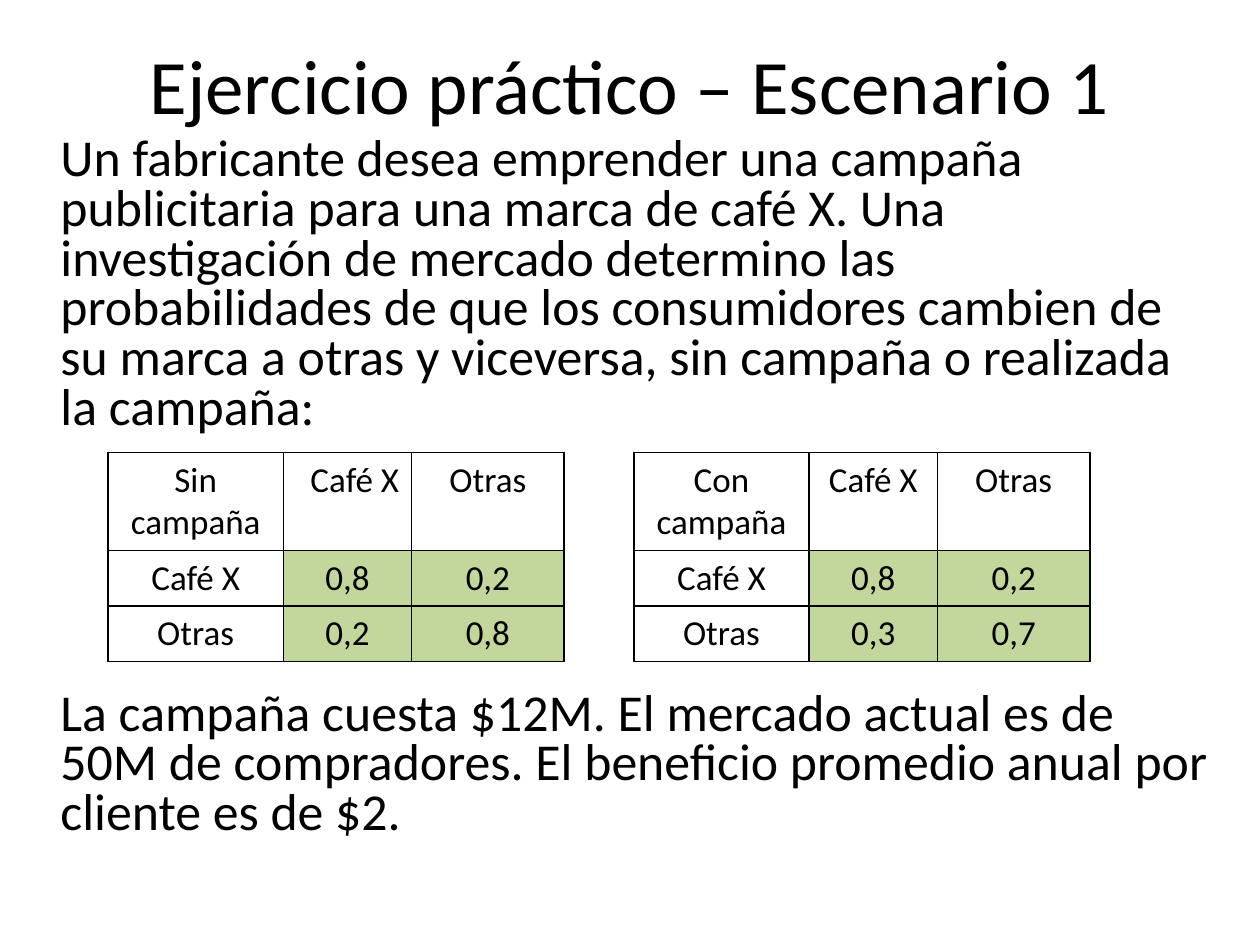
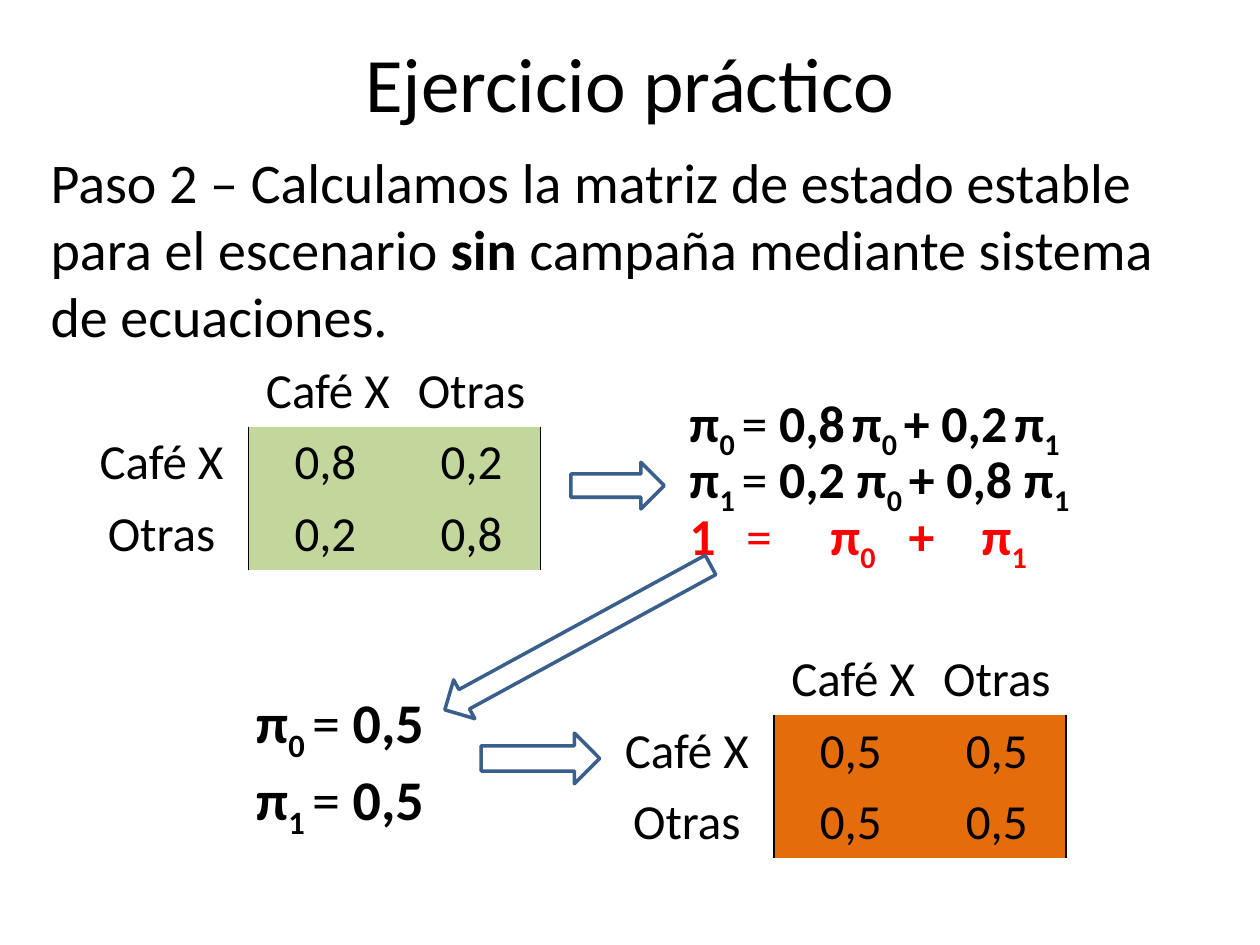
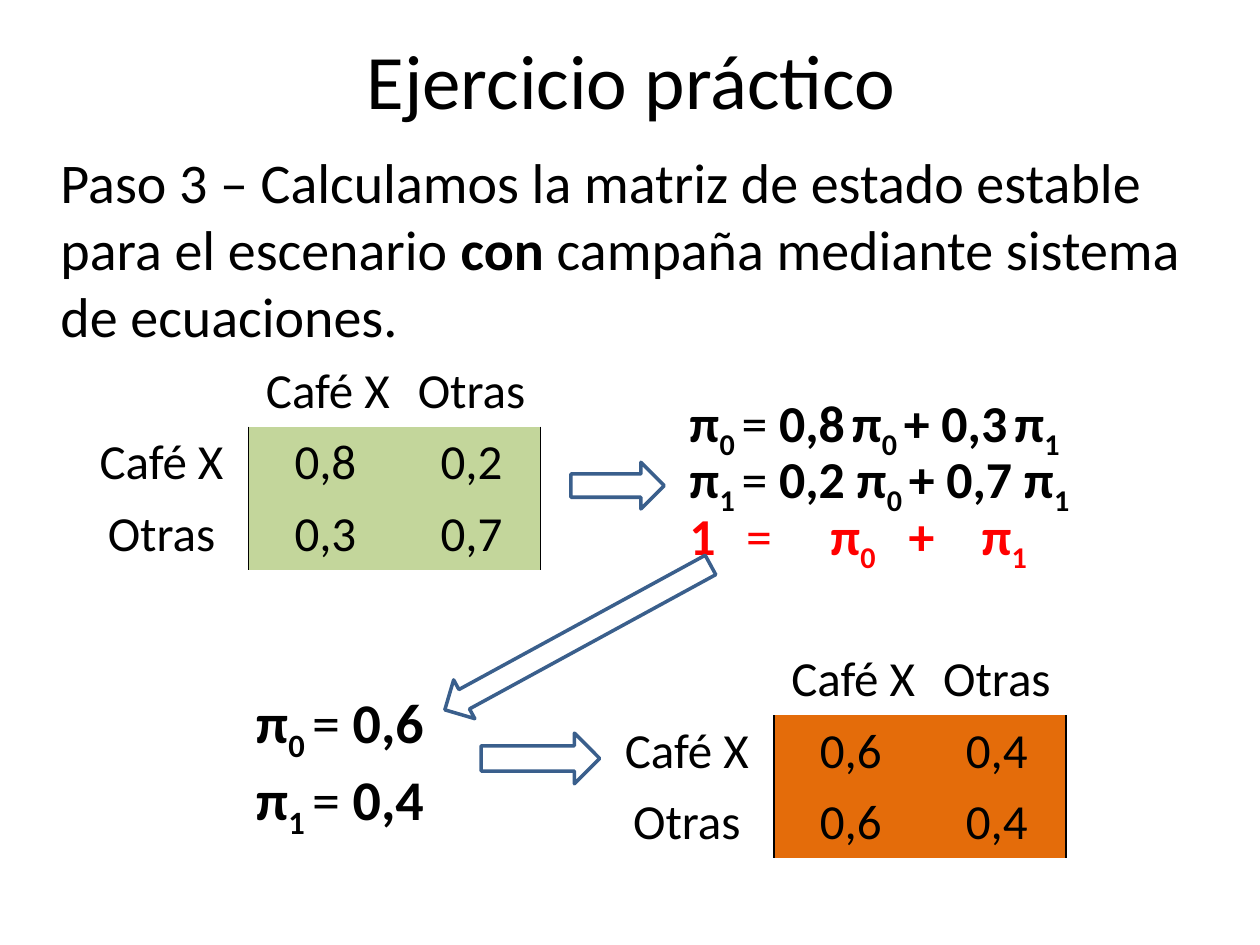
import dataclasses
import lxml.etree
import pptx
import pptx.dml.color
import pptx.enum.shapes
import pptx.enum.text
import pptx.oxml.ns
import pptx.util

Cm = pptx.util.Cm
Pt = pptx.util.Pt
Align = pptx.enum.text.PP_ALIGN
Shape = pptx.enum.shapes.MSO_SHAPE
qn = pptx.oxml.ns.qn


@dataclasses.dataclass(frozen=True)
class Theme:
    font: str = "Calibri"
    ink: str = "000000"
    red: str = "FF0000"
    green: str = "C3D69B"
    orange: str = "E46C0A"
    blue: str = "3A5F8C"
    title: float = 44
    step: float = 32
    story: float = 29.6
    matrix: float = 28
    grid: float = 20
    tight: float = 0.8


THEME = Theme()
EDGES = {"l": "a:lnL", "r": "a:lnR", "t": "a:lnT", "b": "a:lnB"}
TABS = (1.14, 2.84, 4.42, 5.89)


def rgb(code):
    return pptx.dml.color.RGBColor.from_string(code)


def apply(target, values):
    for name, value in values.items():
        setattr(target, name, value)


def write(para, text, size, color=THEME.ink):
    """Add runs to a paragraph; * switches bold and _ switches subscript."""
    for i, span in enumerate(text.split("*")):
        for j, part in enumerate(span.split("_")):
            if not part:
                continue
            run = para.add_run()
            run.text = part
            apply(run.font, {"name": THEME.font, "size": Pt(size), "bold": i % 2 == 1})
            run.font.color.rgb = rgb(color)
            if j % 2:
                run.font._element.set("baseline", "-25000")


def add_tabs(para):
    tabs = lxml.etree.SubElement(para._p.get_or_add_pPr(), qn("a:tabLst"))
    for stop in TABS:
        lxml.etree.SubElement(tabs, qn("a:tab"), pos=str(Cm(stop)), algn="l")


def add_title(slide, text, left, top):
    title = slide.shapes.title
    apply(title, {"left": Cm(left), "top": Cm(top), "width": Cm(22.86), "height": Cm(3.18)})
    apply(title.text_frame, {
        "vertical_anchor": pptx.enum.text.MSO_ANCHOR.MIDDLE,
        "auto_size": pptx.enum.text.MSO_AUTO_SIZE.NONE,
        "word_wrap": True,
    })
    para = title.text_frame.paragraphs[0]
    para.alignment = Align.CENTER
    write(para, text, THEME.title)


def add_text(slide, box, lines, size, spacing=None, inset=0.13):
    frame = slide.shapes.add_textbox(*map(Cm, box)).text_frame
    apply(frame, {
        "word_wrap": True, "margin_left": Cm(0.51), "margin_right": Cm(0.25),
        "margin_top": Cm(inset), "margin_bottom": Cm(inset),
    })
    for i, line in enumerate(lines):
        para = frame.add_paragraph() if i else frame.paragraphs[0]
        para.line_spacing = spacing
        if "\t" in line:
            add_tabs(para)
        write(para, line, size, THEME.red if "\t" in line else THEME.ink)


def set_edges(cell, drawn):
    props = cell._tc.get_or_add_tcPr()
    for i, (side, tag) in enumerate(EDGES.items()):
        edge = lxml.etree.Element(qn(tag), w=str(Pt(1)))
        if side in drawn:
            fill = lxml.etree.SubElement(edge, qn("a:solidFill"))
            lxml.etree.SubElement(fill, qn("a:srgbClr"), val=THEME.ink)
        else:
            lxml.etree.SubElement(edge, qn("a:noFill"))
        props.insert(i, edge)


def add_grid(slide, place, corner, values, fill, size, cols, rows, edges, head):
    """Draw a transition matrix; edges(row, col) names the cell's drawn sides."""
    names = ["Café X", "Otras"]
    cells = [[corner, *names]] + [[n, *v] for n, v in zip(names, values)]
    table = slide.shapes.add_table(
        3, 3, *map(Cm, (*place, sum(cols), sum(rows)))).table
    apply(table, {"first_row": False, "horz_banding": False})
    for col, width in zip(table.columns, cols):
        col.width = Cm(width)
    for row, height in zip(table.rows, rows):
        row.height = Cm(height)
    for r, line in enumerate(cells):
        for c, text in enumerate(line):
            cell = table.cell(r, c)
            if r and c:
                cell.fill.solid()
                cell.fill.fore_color.rgb = rgb(fill)
            else:
                cell.fill.background()
            set_edges(cell, edges(r, c))
            para = cell.text_frame.paragraphs[0]
            para.alignment = head if (r, c) == (0, 1) else Align.CENTER
            write(para, text, size)


def add_market(slide, left, corner, values, head):
    add_grid(slide, (left, 9.12), corner, values, THEME.green, THEME.grid,
             (3.53, 2.59, 3.07), (1.98, 1.12, 1.12), lambda r, c: "lrtb", head)


def add_matrix(slide, place, values, fill):
    add_grid(slide, place, "", values, fill, THEME.matrix,
             (3.51, 3.1, 2.79), (1.44,) * 3,
             lambda r, c: ("r", "l", "r")[c] if r else "", Align.RIGHT)


def add_arrow(slide, kind, box, turn=0):
    arrow = slide.shapes.add_shape(kind, *map(Cm, box))
    arrow.rotation = turn
    arrow.shadow.inherit = False
    arrow.fill.background()
    arrow.line.color.rgb = rgb(THEME.blue)
    arrow.line.width = Pt(2)


def add_case(slide):
    add_title(slide, "Ejercicio práctico – Escenario 1", 1.27, 0.1)
    add_text(slide, (0.71, 2.51, 24, 6.5), [
        "Un fabricante desea emprender una campaña publicitaria para una marca "
        "de café X. Una investigación de mercado determino las probabilidades de "
        "que los consumidores cambien de su marca a otras y viceversa, sin "
        "campaña o realizada la campaña:"], THEME.story, THEME.tight, 0.25)
    add_text(slide, (0.71, 13.69, 24, 3.6), [
        "La campaña cuesta $12M. El mercado actual es de 50M de compradores. "
        "El beneficio promedio anual por cliente es de $2."],
        THEME.story, THEME.tight, 0.25)
    add_market(slide, 2.18, "Sin campaña", [("0,8", "0,2"), ("0,2", "0,8")], Align.RIGHT)
    add_market(slide, 12.78, "Con campaña", [("0,8", "0,2"), ("0,3", "0,7")], Align.CENTER)


def add_step(slide, title, box, text, values, steady):
    """Show a matrix, its equations, their solution and the steady matrix."""
    (a, b), (c, d) = values
    p, q = steady
    add_title(slide, "Ejercicio práctico", *title)
    add_text(slide, box, [text], THEME.step, inset=0.25)
    add_matrix(slide, (1.5, 7.16), values, THEME.green)
    add_text(slide, (13.39, 7.87, 8.99, 3.4), [
        f"*π_0 _*= *{a}_ _π_0 _+ {c}_ _π_1_*",
        f"*π_1 _*= *{b} π_0 _+ {d} π_1_*",
        "*1\t*=\t*π_0_\t+\tπ_1_*"], THEME.story, THEME.tight)
    add_text(slide, (4.65, 13.74, 5.59, 3.1),
             [f"*π_0 _*= *{p}*", f"*π_1 _*= *{q}*"], THEME.step)
    add_arrow(slide, Shape.RIGHT_ARROW, (11.51, 9.32, 1.88, 0.94))
    add_arrow(slide, Shape.DOWN_ARROW, (11.2, 9.8, 0.89, 6.1), 61.4)
    add_matrix(slide, (12.09, 12.98), [steady, steady], THEME.orange)
    add_arrow(slide, Shape.RIGHT_ARROW, (9.7, 14.78, 2.39, 1.02))


def main():
    deck = pptx.Presentation()
    apply(deck, {"slide_width": Cm(25.4), "slide_height": Cm(19.05)})
    case, without, using = (
        deck.slides.add_slide(deck.slide_layouts[5]) for _ in range(3))
    add_case(case)
    add_step(without, (1.27, 0.05), (0.51, 2.72, 24.21, 4.8),
             "Paso 2 – Calculamos la matriz de estado estable para el escenario "
             "*sin* campaña mediante sistema de ecuaciones.",
             [("0,8", "0,2"), ("0,2", "0,8")], ("0,5", "0,5"))
    add_step(using, (1.3, 0), (0.71, 2.72, 24, 4.19),
             "Paso 3 – Calculamos la matriz de estado estable para el escenario "
             "*con* campaña mediante sistema de ecuaciones.",
             [("0,8", "0,2"), ("0,3", "0,7")], ("0,6", "0,4"))
    deck.save("out.pptx")


if __name__ == "__main__":
    main()
